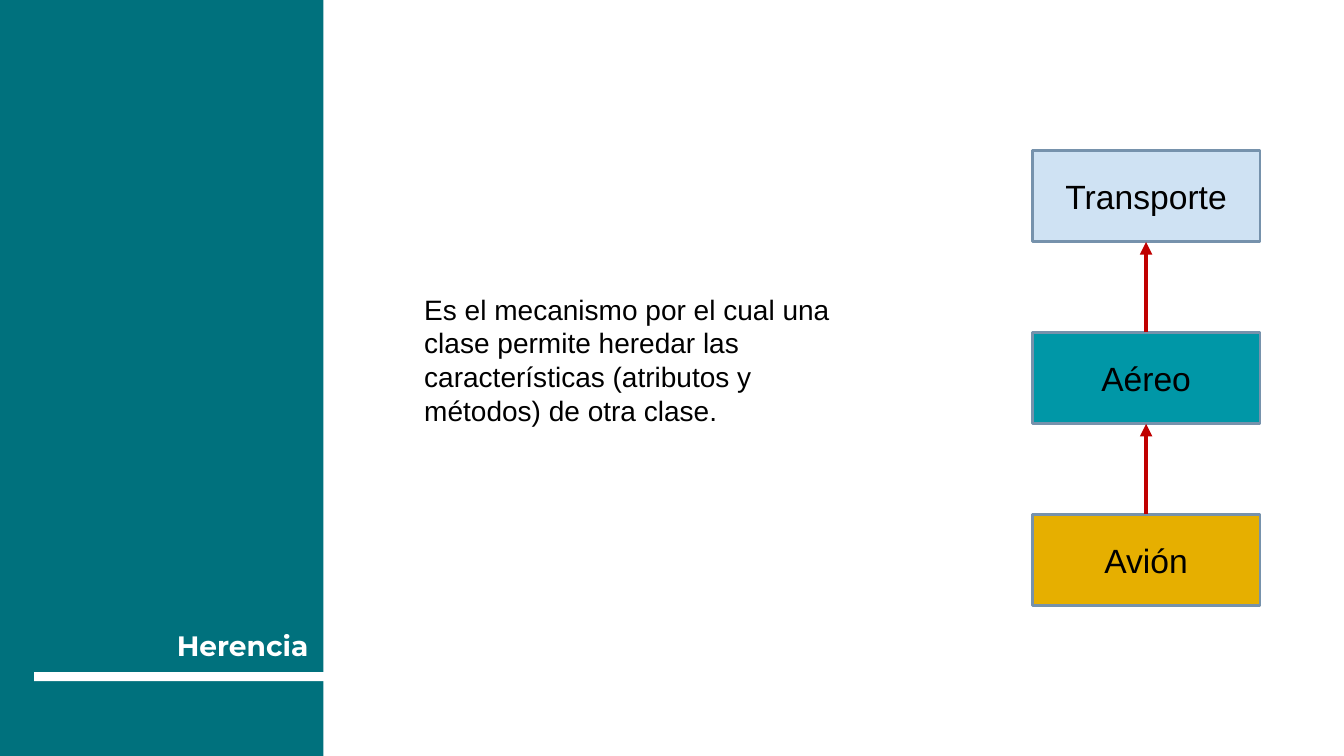
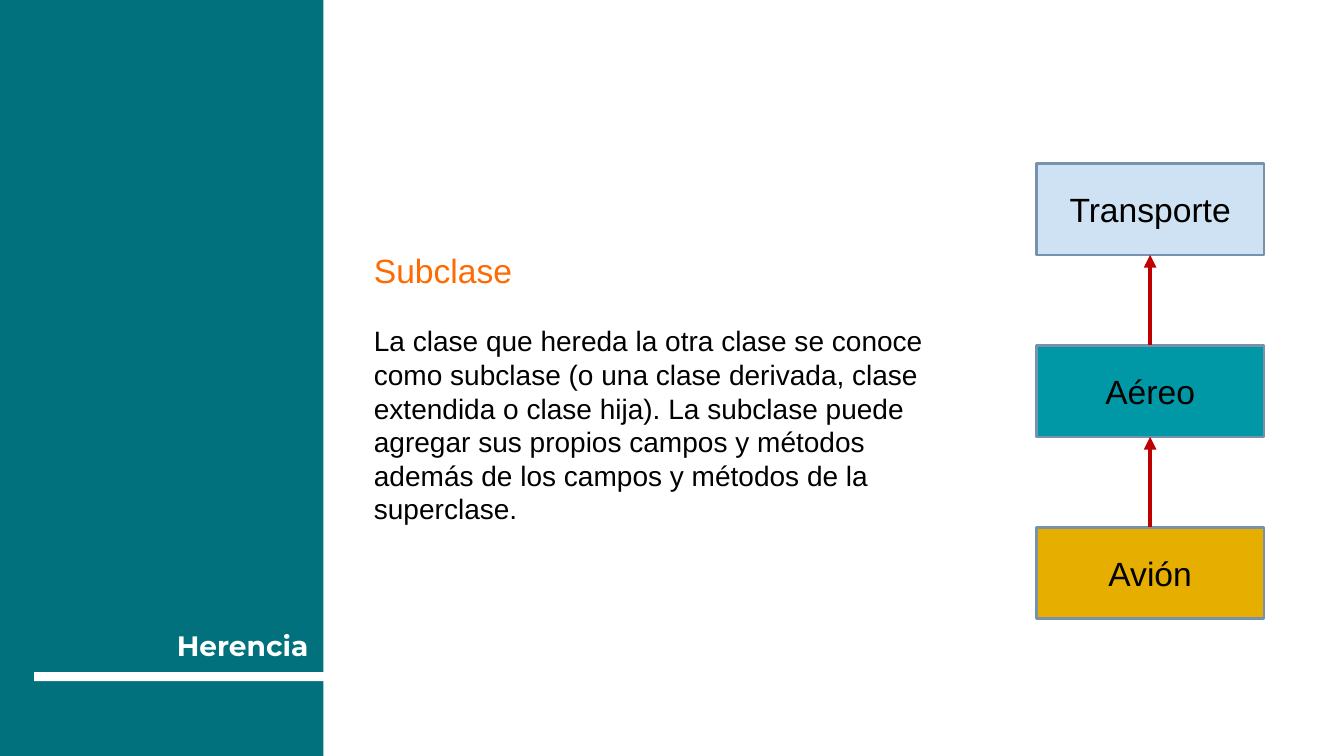
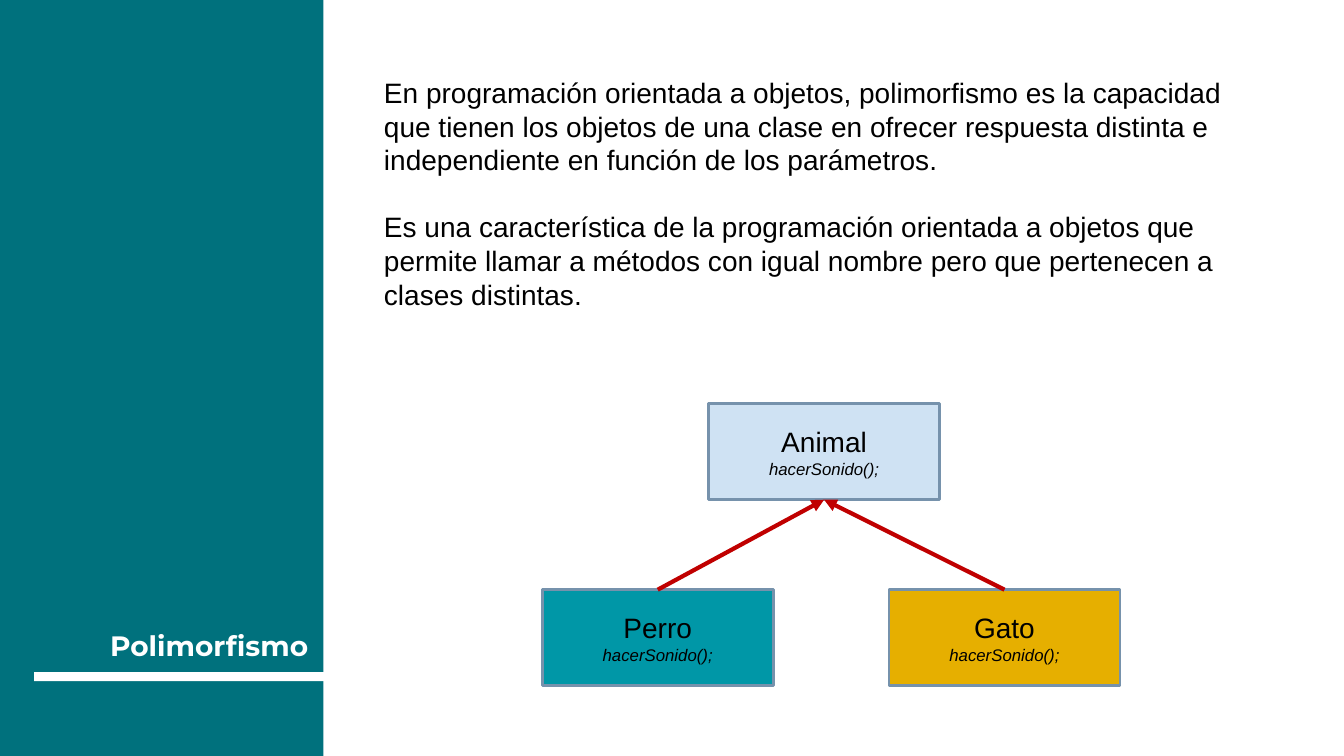
from lxml.etree import SubElement
from pptx import Presentation
from pptx.dml.color import RGBColor
from pptx.enum.shapes import MSO_CONNECTOR, MSO_SHAPE
from pptx.enum.text import MSO_ANCHOR, MSO_AUTO_SIZE, PP_ALIGN
from pptx.oxml.ns import qn
from pptx.util import Inches, Pt

THEME = {
    "colors": {name: RGBColor.from_string(value) for name, value in {
        "band": "00717D", "white": "FFFFFF", "black": "000000",
        "accent": "FF6B03", "outline": "7692AC", "arrow": "C00000",
        "parent": "CFE2F3", "child": "0097A7", "leaf": "E6AF00"}.items()},
    "title": {"name": "Montserrat", "size": Pt(20), "bold": True},
    "heading": {"name": "Arial", "size": Pt(24)},
    "body": {"name": "Arial", "size": Pt(20)},
    "method": {"name": "Arial", "size": Pt(12), "italic": True},
    "gap": Pt(24),
}
C = THEME["colors"]

prs = Presentation()
prs.slide_width, prs.slide_height = Inches(13.33), Inches(7.5)


def area(x, y, w, h):
    """Turn percentages of the slide's size into lengths."""
    return [round(v * side / 100) for v, side in
            zip((x, y, w, h), (prs.slide_width, prs.slide_height) * 2)]


def write(tf, lines, align=PP_ALIGN.LEFT, gap=Pt(0)):
    """Fill a text frame with (text, style, color) lines."""
    tf.word_wrap = True
    for i, (text, style, color) in enumerate(lines):
        p = tf.paragraphs[0] if i == 0 else tf.add_paragraph()
        p.alignment = align
        if i and gap:
            p.space_before = gap
        r = p.add_run()
        r.text = text
        for name, value in THEME[style].items():
            setattr(r.font, name, value)
        r.font.color.rgb = C[color]


# Slide content: boxes are (key, x, y, color, lines), arrows are (from, to)
BOX_ROW = 24.07
chains = [[(name, x, y + i * BOX_ROW, color, [(name, "heading", "black")])
           for i, (name, color) in enumerate(
               [("Transporte", "parent"), ("Aéreo", "child"), ("Avión", "leaf")])]
          for x, y in [(76.8, 19.87), (77.1, 21.6)]]
chain_arrows = [("Aéreo", "Transporte"), ("Avión", "Aéreo")]
animals = [(name, x, y, color,
            [(name, "body", "black"), ("hacerSonido();", "method", "black")])
           for name, x, y, color in [("Animal", 52.73, 53.43, "parent"),
                                     ("Perro", 40.35, 78, "child"),
                                     ("Gato", 66.15, 78, "leaf")]]

slides = [
    {"title": "Herencia", "text_at": (30.83, 38, 34.58, 19.33),
     "text": [("Es el mecanismo por el cual una clase permite heredar las "
               "características (atributos y métodos) de otra clase.", "body", "black")],
     "boxes": chains[0], "box_size": (16.95, 12.13), "arrows": chain_arrows},
    {"title": "Herencia", "text_at": (27.08, 32.4, 43.65, 38.13),
     "text": [("Subclase", "heading", "accent"),
              ("La clase que hereda la otra clase se conoce como subclase (o una "
               "clase derivada, clase extendida o clase hija). La subclase puede "
               "agregar sus propios campos y métodos además de los campos y métodos "
               "de la superclase.", "body", "black")],
     "boxes": chains[1], "box_size": (16.95, 12.13), "arrows": chain_arrows},
    {"title": "Polimorfismo", "text_at": (27.83, 9.33, 64.88, 32.8),
     "text": [("En programación orientada a objetos, polimorfismo es la capacidad que "
               "tienen los objetos de una clase en ofrecer respuesta distinta e "
               "independiente en función de los parámetros.", "body", "black"),
              ("Es una característica de la programación orientada a objetos que "
               "permite llamar a métodos con igual nombre pero que pertenecen a "
               "clases distintas.", "body", "black")],
     "boxes": animals, "box_size": (17.18, 12.67),
     "arrows": [("Perro", "Animal"), ("Gato", "Animal")]},
]

# Shared title position on the title-only layout
layout = prs.slide_layouts[5]
title = layout.placeholders[0]
title.left, title.top, title.width, title.height = area(0.9, 67.87, 22.8, 21.07)
tf = title.text_frame
tf.vertical_anchor, tf.auto_size = MSO_ANCHOR.BOTTOM, MSO_AUTO_SIZE.NONE
for side in ("left", "top", "right", "bottom"):
    setattr(tf, f"margin_{side}", Inches(0.1))

for n, content in enumerate(slides):
    s = prs.slides.add_slide(layout)

    # Band and rule, moved once to the layout
    if n == 0:
        for at, color in [((0, 0, 24.06, 100), "band"),
                          ((2.55, 88.9, 22.8, 1.2), "white")]:
            sp = s.shapes.add_shape(MSO_SHAPE.RECTANGLE, *area(*at))
            sp.shadow.inherit = False
            sp.fill.solid()
            sp.fill.fore_color.rgb = C[color]
            sp.line.fill.background()
            layout.shapes.element.append(sp.element)

    # Title and body text
    write(s.shapes.title.text_frame, [(content["title"], "title", "white")], PP_ALIGN.RIGHT)
    tf = s.shapes.add_textbox(*area(*content["text_at"])).text_frame
    tf.auto_size = MSO_AUTO_SIZE.SHAPE_TO_FIT_TEXT
    write(tf, content["text"], gap=THEME["gap"])

    # Class boxes
    boxes = {}
    for name, x, y, color, lines in content["boxes"]:
        sp = s.shapes.add_shape(MSO_SHAPE.RECTANGLE, *area(x, y, *content["box_size"]))
        sp.shadow.inherit = False
        sp.fill.solid()
        sp.fill.fore_color.rgb = C[color]
        sp.line.color.rgb, sp.line.width = C["outline"], Pt(2)
        sp.text_frame.vertical_anchor = MSO_ANCHOR.MIDDLE
        write(sp.text_frame, lines, PP_ALIGN.CENTER)
        boxes[name] = sp

    # Inheritance arrows, from the top of a class to the bottom of its parent
    for child, parent in content["arrows"]:
        line = s.shapes.add_connector(MSO_CONNECTOR.STRAIGHT, 0, 0, 0, 0)
        line.begin_connect(boxes[child], 0)
        line.end_connect(boxes[parent], 2)
        line.line.color.rgb, line.line.width = C["arrow"], Pt(3)
        SubElement(line.line._get_or_add_ln(), qn("a:tailEnd"), type="triangle")
        SubElement(line.element.spPr, qn("a:effectLst"))

prs.save("out.pptx")
